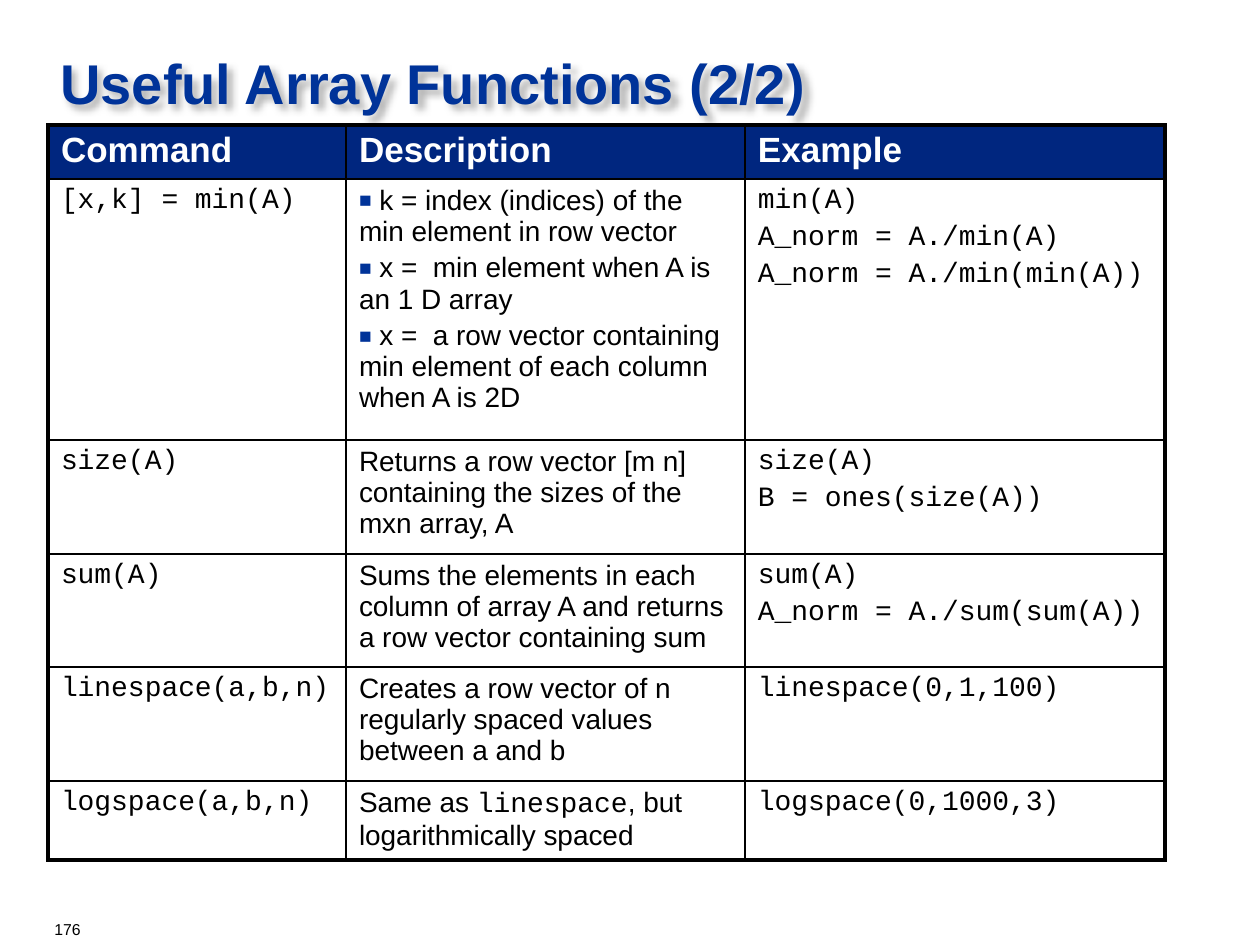
from dataclasses import dataclass

from lxml.etree import SubElement
from pptx import Presentation
from pptx.dml.color import RGBColor
from pptx.enum.text import MSO_ANCHOR as Anchor
from pptx.oxml.ns import qn
from pptx.util import Pt

PX = 914400 / 126


@dataclass(frozen=True)
class Theme:
    title: str = "003399"
    header: str = "00267F"
    paper: str = "FFFFFF"
    ink: str = "000000"
    sans: str = "Arial"
    mono: str = "Courier New"
    title_size: int = 32
    header_size: int = 20
    body_size: int = 16
    number_size: int = 9
    inner_line: float = 1
    outer_line: float = 2.25


theme = Theme()


def px(length):
    return round(length * PX)


def add_run(paragraph, text, font, size, color, bold=False):
    run = paragraph.add_run()
    run.text = text
    run.font.name = font
    run.font.size = Pt(size)
    run.font.bold = bold
    run.font.color.rgb = RGBColor.from_string(color)


presentation = Presentation()
presentation.slide_width = px(1260)
presentation.slide_height = px(945)
slide = presentation.slides.add_slide(presentation.slide_layouts[6])

labels = [
    ("176", (42, 914, 95, 32), 6, theme.number_size, theme.ink, False),
    ("Useful Array Functions (2/2)", (48, 38, 1148, 126), 11,
     theme.title_size, theme.title, True),
]
for text, box, top_inset, size, color, bold in labels:
    shape = slide.shapes.add_textbox(*map(px, box))
    frame = shape.text_frame
    frame.word_wrap = True
    frame.vertical_anchor = Anchor.TOP
    frame.margin_top = px(top_inset)
    add_run(frame.paragraphs[0], text, theme.sans, size, color, bold)

effects = SubElement(shape._element.spPr, qn("a:effectLst"))
shadow = SubElement(effects, qn("a:outerShdw"), blurRad=str(px(7)),
                    dist=str(px(7)), dir="2700000", algn="tl", rotWithShape="0")
shadow_color = SubElement(shadow, qn("a:srgbClr"), val=theme.ink)
SubElement(shadow_color, qn("a:alpha"), val="30000")

rows = [
    (["Command"], ["Description"], ["Example"]),
    (["[x,k] = min(A)"],
     ["■ k = index (indices) of the min element in row vector",
      "■ x =  min element when A is an 1 D array",
      "■ x =  a row vector containing min element of each column when A is 2D"],
     ["min(A)", "A_norm = A./min(A)", "A_norm = A./min(min(A))"]),
    (["size(A)"],
     ["Returns a row vector [m n] containing the sizes of the mxn array, A"],
     ["size(A)", "B = ones(size(A))"]),
    (["sum(A)"],
     ["Sums the elements in each column of array A and returns a row vector containing sum"],
     ["sum(A)", "A_norm = A./sum(sum(A))"]),
    (["linespace(a,b,n)"],
     ["Creates a row vector of n regularly spaced values between a and b"],
     ["linespace(0,1,100)"]),
    (["logspace(a,b,n)"],
     ["Same as `linespace`, but logarithmically spaced"],
     ["logspace(0,1000,3)"]),
]
column_widths = [298, 399, 420]
row_heights = [54, 261, 114, 113, 114, 79]
last_row, last_column = len(rows) - 1, len(column_widths) - 1

table = slide.shapes.add_table(
    len(rows), len(column_widths), px(48), px(125),
    px(sum(column_widths)), px(sum(row_heights))).table
table.horz_banding = False
for column, width in zip(table.columns, column_widths):
    column.width = px(width)
for row, height in zip(table.rows, row_heights):
    row.height = px(height)

for row_index, row in enumerate(rows):
    is_header = row_index == 0
    for column_index, lines in enumerate(row):
        cell = table.cell(row_index, column_index)
        cell.margin_left = cell.margin_right = px(13)
        cell.margin_top = cell.margin_bottom = px(6)
        cell.vertical_anchor = Anchor.TOP

        properties = cell._tc.get_or_add_tcPr()
        outer_edges = {
            "a:lnL": column_index == 0,
            "a:lnR": column_index == last_column,
            "a:lnT": is_header,
            "a:lnB": row_index == last_row,
        }
        for edge, is_outer in outer_edges.items():
            width = theme.outer_line if is_outer else theme.inner_line
            line = SubElement(properties, qn(edge), w=str(Pt(width)))
            line_fill = SubElement(line, qn("a:solidFill"))
            SubElement(line_fill, qn("a:srgbClr"), val=theme.ink)
        cell.fill.solid()
        cell.fill.fore_color.rgb = RGBColor.from_string(
            theme.header if is_header else theme.paper)

        frame = cell.text_frame
        for line_index, text in enumerate(lines):
            paragraph = frame.paragraphs[0] if line_index == 0 else frame.add_paragraph()
            if line_index:
                paragraph.space_before = Pt(theme.body_size * 0.2)
            if text.startswith("■"):
                bullet = paragraph._p.get_or_add_pPr()
                bullet.set("marL", "0")
                bullet.set("indent", "0")
                bullet_color = SubElement(bullet, qn("a:buClr"))
                SubElement(bullet_color, qn("a:srgbClr"), val=theme.title)
                SubElement(bullet, qn("a:buSzPct"), val="75000")
                SubElement(bullet, qn("a:buFont"), typeface=theme.sans)
                SubElement(bullet, qn("a:buChar"), char="■")
                text = text[1:]
            if is_header:
                add_run(paragraph, text, theme.sans, theme.header_size, theme.paper, True)
                continue
            for part_index, part in enumerate(text.split("`")):
                is_code = column_index != 1 or part_index % 2 == 1
                add_run(paragraph, part, theme.mono if is_code else theme.sans,
                        theme.body_size, theme.ink)

presentation.save("out.pptx")
